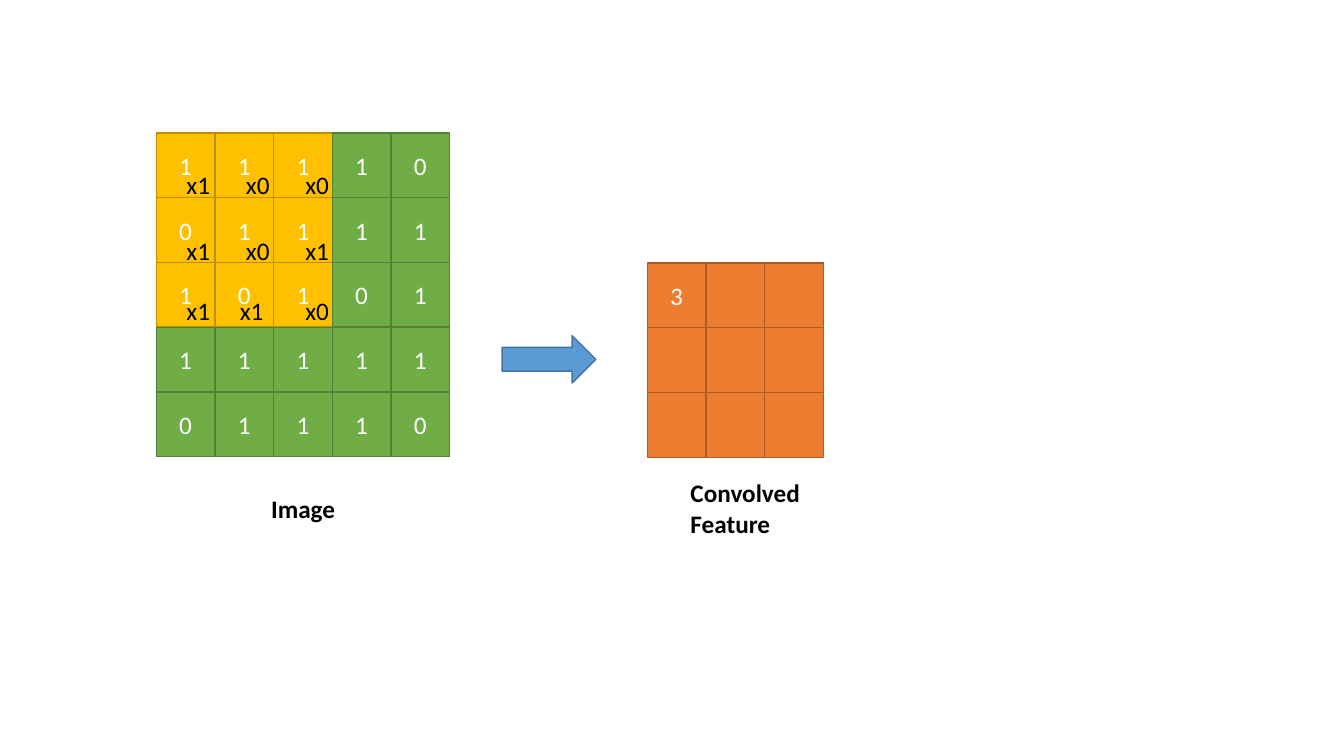
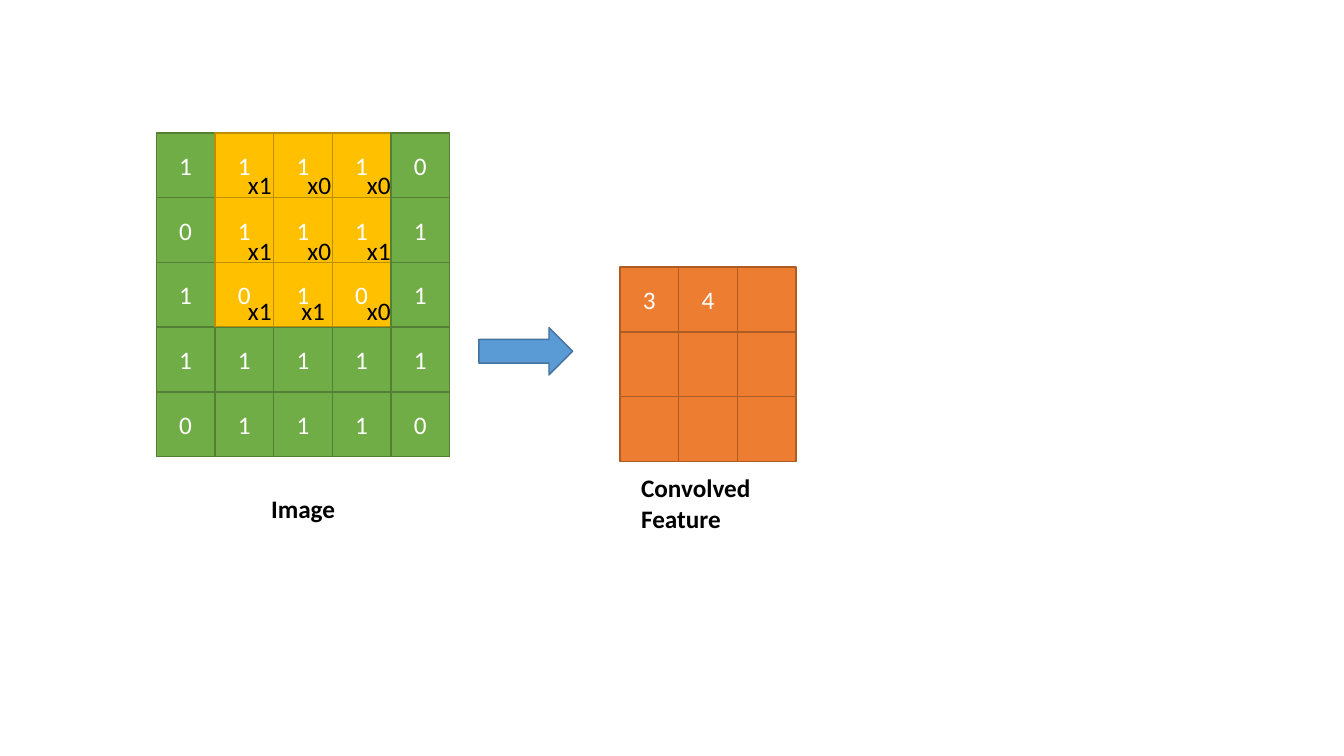
import pptx
import pptx.util
import pptx.dml.color
import pptx.enum.shapes
import pptx.enum.text

Inches = pptx.util.Inches
SHAPES = pptx.enum.shapes.MSO_SHAPE
ALIGN = pptx.enum.text.PP_ALIGN
ANCHOR = pptx.enum.text.MSO_ANCHOR

# Content
IMAGE = ["11110", "01111", "10101", "11111", "01110"]
KERNEL = [("x1", "x0", "x0"), ("x1", "x0", "x1"), ("x1", "x1", "x0")]
STEPS = [
    {"window": 0, "results": ["3"], "weights_left": 1.75,
     "feature": (6.42, 2.61), "caption": (6.75, 4.69), "arrow": (4.98, 3.33)},
    {"window": 1, "results": ["3", "4"], "weights_left": 2.36,
     "feature": (6.15, 2.65), "caption": (6.26, 4.64), "arrow": (4.75, 3.25)},
]

# Shared style: fill and outline of each kind of shape
WINDOW = ("FFC000", "BD8E00")
PIXEL = ("70AD47", "538035")
FEATURE = ("ED7D31", "AF5C24")
ARROW = ("5B9BD5", "43739E")
FONT, SIZE = "Calibri", 18

# Shared grid
IMAGE_LEFT, IMAGE_TOP = 1.55, 1.32
CELL_WIDTH, CELL_HEIGHT = 2.91 / 5, 3.21 / 5
WEIGHT_STEP = 0.59
WEIGHT_TOPS = (1.63, 2.29, 2.88)
WEIGHT_SHIFTS = {(2, 1): -0.06}


def color(value):
    return pptx.dml.color.RGBColor.from_string(value)


def write(frame, text, ink="000000", bold=False, align=ALIGN.LEFT):
    for index, line in enumerate(text.split("\n")):
        paragraph = frame.add_paragraph() if index else frame.paragraphs[0]
        paragraph.alignment = align
        run = paragraph.add_run()
        run.text = line
        run.font.name, run.font.size = FONT, pptx.util.Pt(SIZE)
        run.font.bold = bold
        run.font.color.rgb = color(ink)


def add_block(slide, kind, left, top, width, height, style, text=""):
    shape = slide.shapes.add_shape(
        kind, Inches(left), Inches(top), Inches(width), Inches(height))
    shape.shadow.inherit = False
    shape.fill.solid()
    shape.fill.fore_color.rgb = color(style[0])
    shape.line.color.rgb = color(style[1])
    shape.line.width = pptx.util.Pt(1)
    if text:
        shape.text_frame.vertical_anchor = ANCHOR.MIDDLE
        write(shape.text_frame, text, ink="FFFFFF", align=ALIGN.CENTER)


def add_label(slide, text, left, top, width, height=0.4, **style):
    box = slide.shapes.add_textbox(
        Inches(left), Inches(top), Inches(width), Inches(height))
    box.text_frame.word_wrap = True
    write(box.text_frame, text, **style)


def add_cell(slide, origin, row, column, style, text):
    add_block(slide, SHAPES.RECTANGLE, origin[0] + column * CELL_WIDTH,
              origin[1] + row * CELL_HEIGHT, CELL_WIDTH, CELL_HEIGHT, style, text)


def build_step(slide, step):
    # Input pixels, with the kernel's window highlighted
    window = range(step["window"], step["window"] + 3)
    for row, values in enumerate(IMAGE):
        for column, value in enumerate(values):
            inside = row < 3 and column in window
            add_cell(slide, (IMAGE_LEFT, IMAGE_TOP), row, column,
                     WINDOW if inside else PIXEL, value)

    # Kernel weights
    for row, weights in enumerate(KERNEL):
        for column, weight in enumerate(weights):
            left = step["weights_left"] + column * WEIGHT_STEP
            add_label(slide, weight, left + WEIGHT_SHIFTS.get((row, column), 0),
                      WEIGHT_TOPS[row], 0.48)

    # Captions
    add_label(slide, "Convolved\nFeature", *step["caption"], 1.35, 0.71, bold=True)
    add_label(slide, "Image", 2.59, 4.84, 0.88, bold=True)

    # Convolved feature, filled from its first cell
    results = step["results"]
    for index in range(9):
        add_cell(slide, step["feature"], *divmod(index, 3), FEATURE,
                 results[index] if index < len(results) else "")

    add_block(slide, SHAPES.RIGHT_ARROW, *step["arrow"], 0.93, 0.47, ARROW)


def main():
    presentation = pptx.Presentation()
    presentation.slide_width, presentation.slide_height = Inches(13.33), Inches(7.5)
    for step in STEPS:
        build_step(presentation.slides.add_slide(presentation.slide_layouts[6]), step)
    presentation.save("out.pptx")


if __name__ == "__main__":
    main()
